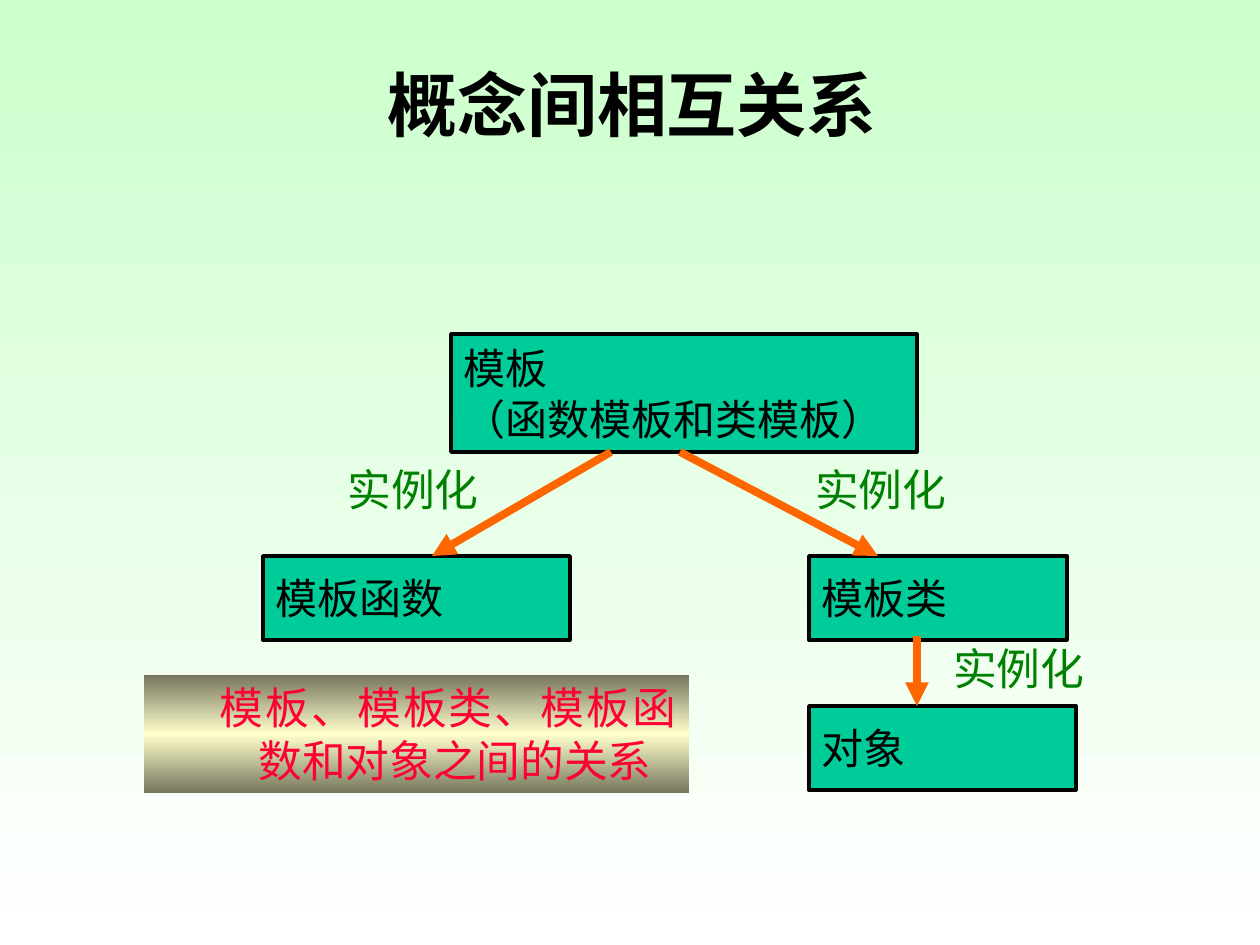
from copy import deepcopy

from lxml import etree
from pptx import Presentation
from pptx.dml.color import RGBColor
from pptx.enum.shapes import MSO_CONNECTOR, MSO_SHAPE
from pptx.enum.text import MSO_ANCHOR, MSO_AUTO_SIZE, PP_ALIGN
from pptx.oxml.ns import qn
from pptx.util import Emu, Pt

PX_PER_INCH = 126
TITLE_ONLY = 5
RECTANGLE = MSO_SHAPE.RECTANGLE
STRAIGHT = MSO_CONNECTOR.STRAIGHT
TOP, MIDDLE = MSO_ANCHOR.TOP, MSO_ANCHOR.MIDDLE
LEFT, CENTER, JUSTIFY = PP_ALIGN.LEFT, PP_ALIGN.CENTER, PP_ALIGN.JUSTIFY
NO_AUTOFIT = MSO_AUTO_SIZE.NONE

SERIF, SANS = "Times New Roman", "Noto Sans CJK SC"
COLORS = {
    "text": "000000",
    "box": "00CC99",
    "arrow": "FF6600",
    "label": "008000",
    "caption": "FF0033",
    "caption_edge": "76765E",
    "caption_center": "FFFFCC",
    "sky": "CCFFCC",
    "ground": "FFFFFF",
}


def px(length):
    return Emu(round(length * 914400 / PX_PER_INCH))


def rgb(name):
    return RGBColor.from_string(COLORS[name])


def fill_gradient(fill, owner, names):
    """Fill from top to bottom with evenly spaced colours."""
    fill.gradient()
    fill.gradient_angle = 270
    stop_list = next(owner.iter(qn("a:gsLst")))
    while len(stop_list) < len(names):
        stop_list.append(deepcopy(stop_list[-1]))
    for index, (stop, name) in enumerate(zip(fill.gradient_stops, names)):
        stop.position = index / (len(names) - 1)
        stop.color.rgb = rgb(name)


def write_text(shape, text, size=24, font=SERIF, color="text", bold=False,
               align=LEFT, anchor=TOP, space_before=0, hanging=False):
    frame = shape.text_frame
    frame.text = text
    frame.word_wrap = True
    frame.auto_size = NO_AUTOFIT
    frame.vertical_anchor = anchor
    for paragraph in frame.paragraphs:
        paragraph.alignment = align
        paragraph.space_before = Pt(space_before)
        if hanging:
            properties = paragraph._p.get_or_add_pPr()
            properties.set("marL", str(px(102)))
            properties.set("indent", str(-px(39)))
        paragraph.font.size = Pt(size)
        paragraph.font.name = font
        paragraph.font.bold = bold
        paragraph.font.color.rgb = rgb(color)


def add_rectangle(slide, box):
    shape = slide.shapes.add_shape(RECTANGLE, *map(px, box))
    shape.shadow.inherit = False
    return shape


def add_title(slide, box, text):
    title = slide.shapes.title
    title.left, title.top, title.width, title.height = map(px, box)
    write_text(title, text, size=40, bold=True, align=CENTER, space_before=10)


def add_concept(slide, box, text):
    shape = add_rectangle(slide, box)
    shape.fill.solid()
    shape.fill.fore_color.rgb = rgb("box")
    shape.line.color.rgb = rgb("text")
    shape.line.width = Pt(2)
    write_text(shape, text, anchor=MIDDLE)


def add_arrow(slide, start, end):
    arrow = slide.shapes.add_connector(STRAIGHT, *map(px, start + end))
    arrow.line.color.rgb = rgb("arrow")
    arrow.line.width = Pt(4.5)
    etree.SubElement(arrow.line._get_or_add_ln(), qn("a:tailEnd"), type="triangle")
    etree.SubElement(arrow._element.spPr, qn("a:effectLst"))


def add_label(slide, box, text):
    label = slide.shapes.add_textbox(*map(px, box))
    write_text(label, text, size=25, font=SANS, color="label",
               align=JUSTIFY, space_before=15.6, hanging=True)


def add_caption(slide, box, text):
    caption = add_rectangle(slide, box)
    fill_gradient(caption.fill, caption._element,
                  ("caption_edge", "caption_center", "caption_edge"))
    caption.line.fill.background()
    write_text(caption, text, size=25, font=SANS, color="caption",
               align=JUSTIFY, space_before=15.6, hanging=True)


def add_relations(slide, left, top):
    """Draw the concept tree from the top left corner of its area."""
    concepts = [
        (0, 222, 307, 84, "模板函数"),
        (546, 222, 258, 84, "模板类"),
        (546, 372, 267, 84, "对象"),
        (188, 0, 466, 118, "模板\n（函数模板和类模板）"),
    ]
    for x, y, width, height, text in concepts:
        add_concept(slide, (left + x, top + y, width, height), text)

    # Instantiation steps: arrow start, arrow end, label corner
    steps = [
        ((348, 118), (169, 222), (9, 123)),
        ((417, 118), (615, 222), (477, 123)),
        ((654, 302), (654, 372), (615, 302)),
    ]
    for start, end, corner in steps:
        add_arrow(slide, (left + start[0], top + start[1]),
                  (left + end[0], top + end[1]))
        add_label(slide, (left + corner[0], top + corner[1], 228, 66), "实例化")


def main():
    presentation = Presentation()
    presentation.slide_width, presentation.slide_height = px(1260), px(945)
    slide = presentation.slides.add_slide(presentation.slide_layouts[TITLE_ONLY])

    # Background
    fill_gradient(slide.background.fill, slide._element, ("sky", "ground"))

    # Content
    add_title(slide, (272, 55, 720, 100), "概念间相互关系")
    add_relations(slide, 263, 334)
    add_caption(slide, (144, 675, 545, 118), "模板、模板类、模板函数和对象之间的关系")

    presentation.save("out.pptx")


if __name__ == "__main__":
    main()
